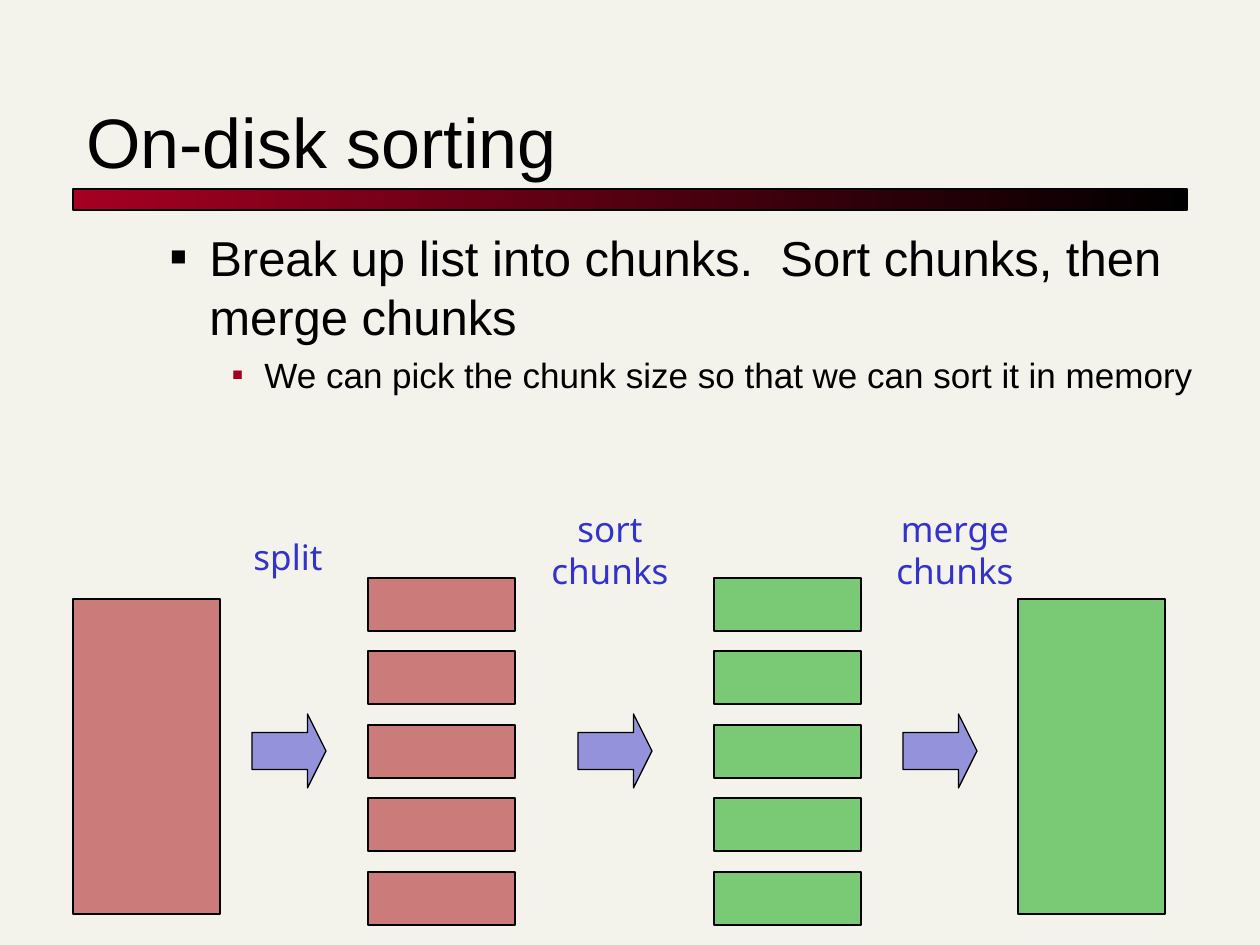
import pptx
import pptx.dml.color
import pptx.enum.dml
import pptx.enum.shapes
import pptx.enum.text
import pptx.oxml.ns
import pptx.util
from lxml import etree

EMU_PER_PX = 914400 / 126
COLORS = {
    "background": "F4F3EB",
    "black": "000000",
    "crimson": "A50021",
    "unsorted": "A40508",
    "sorted": "00A000",
    "step": "3333CC",
}
CHUNK_COUNT = 5
RECTANGLE = pptx.enum.shapes.MSO_SHAPE.RECTANGLE
RIGHT_ARROW = pptx.enum.shapes.MSO_SHAPE.RIGHT_ARROW
ANCHOR = pptx.enum.text.MSO_ANCHOR


def px(length):
    return pptx.util.Emu(round(length * EMU_PER_PX))


def rgb(name):
    return pptx.dml.color.RGBColor.from_string(COLORS[name])


def add_child(parent, tag, **attributes):
    return etree.SubElement(parent, pptx.oxml.ns.qn(tag), attributes)


class SlideBuilder:
    font = "Arial"
    label_font = "Noto Sans"
    line_width = pptx.util.Pt(0.75)

    def __init__(self, slide):
        self.slide = slide
        slide.background.fill.solid()
        slide.background.fill.fore_color.rgb = rgb("background")

    def shape(self, kind, left, top, width, height):
        shape = self.slide.shapes.add_shape(
            kind, px(left), px(top), px(width), px(height))
        shape.shadow.inherit = False
        shape.line.color.rgb = rgb("black")
        shape.line.width = self.line_width
        return shape

    def gradient_bar(self, left, top, width, height, start, end):
        fill = self.shape(RECTANGLE, left, top, width, height).fill
        fill.gradient()
        fill.gradient_angle = 0
        for stop, color in zip(fill.gradient_stops, (start, end)):
            stop.color.rgb = rgb(color)

    def block(self, left, top, width, height, color, kind=RECTANGLE):
        """Add a half-transparent shape."""
        shape = self.shape(kind, left, top, width, height)
        shape.fill.solid()
        shape.fill.fore_color.rgb = rgb(color)
        color_element = shape.fill._xPr.find(".//" + pptx.oxml.ns.qn("a:srgbClr"))
        add_child(color_element, "a:alpha", val="50000")
        return shape

    def chunks(self, left, color):
        for index in range(CHUNK_COUNT):
            self.block(left, 578 + index * 147 // 2, 147, 53, color)

    def arrow(self, left):
        arrow = self.block(left, 714, 74, 74, "step", RIGHT_ARROW)
        arrow.adjustments[0] = 0.5
        arrow.adjustments[1] = 0.25

    def text_frame(self, left, top, width, height, anchor=ANCHOR.TOP):
        box = self.slide.shapes.add_textbox(
            px(left), px(top), px(width), px(height))
        box.text_frame.word_wrap = True
        box.text_frame.vertical_anchor = anchor
        return box.text_frame

    def format_runs(self, paragraph, size, color="black", font=font):
        for run in paragraph.runs:
            run.font.size = pptx.util.Pt(size)
            run.font.name = font
            run.font.color.rgb = rgb(color)

    def title(self, text, left, top, width, height):
        frame = self.text_frame(left, top, width, height, ANCHOR.BOTTOM)
        frame.text = text
        self.format_runs(frame.paragraphs[0], 40)

    def label(self, text, left, top, width, height):
        frame = self.text_frame(left, top, width, height, ANCHOR.MIDDLE)
        frame.word_wrap = False
        frame.auto_size = pptx.enum.text.MSO_AUTO_SIZE.SHAPE_TO_FIT_TEXT
        frame.text = text
        paragraph = frame.paragraphs[0]
        paragraph.alignment = pptx.enum.text.PP_ALIGN.CENTER
        self.format_runs(paragraph, 20, "step", self.label_font)

    def bullet(self, paragraph, text, size, margin, hanging, color, percent):
        paragraph.text = text
        properties = paragraph._p.get_or_add_pPr()
        properties.set("marL", str(px(margin)))
        properties.set("indent", str(-px(hanging)))
        bullet_color = add_child(properties, "a:buClr")
        add_child(bullet_color, "a:srgbClr", val=COLORS[color])
        add_child(properties, "a:buSzPct", val=str(percent * 1000))
        add_child(properties, "a:buFont", typeface=self.font)
        add_child(properties, "a:buChar", char="■")
        self.format_runs(paragraph, size)


def main():
    presentation = pptx.Presentation()
    presentation.slide_width = px(1260)
    presentation.slide_height = px(945)
    slide = presentation.slides.add_slide(presentation.slide_layouts[6])
    builder = SlideBuilder(slide)

    builder.gradient_bar(73, 189, 1114, 21, "crimson", "black")
    builder.title("On-disk sorting", 74, 53, 1113, 136)

    body = builder.text_frame(95, 221, 1124, 231)
    builder.bullet(
        body.paragraphs[0],
        "Break up list into chunks.  Sort chunks, then merge chunks",
        28, 102, 39, "black", 55)
    detail = body.add_paragraph()
    builder.bullet(
        detail,
        "We can pick the chunk size so that we can sort it in memory",
        20, 157, 32, "crimson", 50)
    detail.space_before = pptx.util.Pt(5)

    builder.block(73, 599, 147, 315, "unsorted")
    builder.chunks(368, "unsorted")
    builder.chunks(714, "sorted")
    builder.block(1018, 599, 147, 315, "sorted")

    for left in (252, 578, 903):
        builder.arrow(left)
    builder.label("split", 237, 529, 102, 55)
    builder.label("sort\vchunks", 535, 501, 150, 97)
    builder.label("merge\vchunks", 880, 501, 150, 97)

    presentation.save("out.pptx")


if __name__ == "__main__":
    main()
